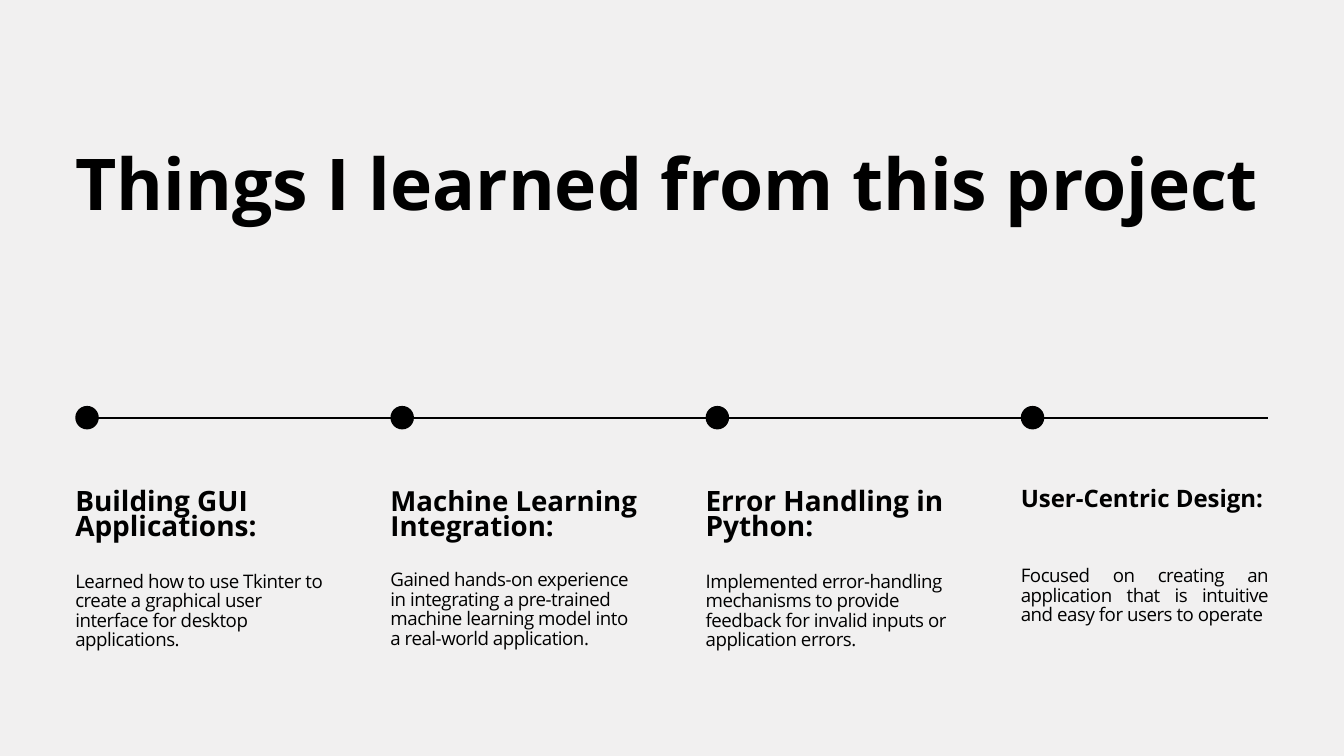
import dataclasses

import pptx
import pptx.dml.color
import pptx.enum.shapes
import pptx.enum.text
import pptx.util
from pptx.util import Inches

ALIGN = pptx.enum.text.PP_ALIGN


@dataclasses.dataclass(frozen=True)
class Theme:
    font: str = "Open Sans"
    paper: str = "F1F0F0"
    ink: str = "000000"
    title: float = 76.5
    body: float = 20
    title_leading: float = 68.8
    body_leading: float = 20.9
    heading_ratio: float = 0.9
    body_tracking: float = -0.5
    rule: float = 2


THEME = Theme()
LEFT, WIDTH = 1.12, 17.75
STEP, COLUMN_WIDTH = 4.69, 3.68
DOT = 0.35

LESSONS = [
    dict(heading="Building GUI Applications:", size=30, top=7.32, body_offset=1.2,
         body="Learned how to use Tkinter to create a graphical user interface "
              "for desktop applications."),
    dict(heading="Machine Learning Integration:", size=29.6, top=7.32, body_offset=1.18,
         body="Gained hands-on experience in integrating a pre-trained machine "
              "learning model into a real-world application."),
    dict(heading="Error Handling in Python:", size=30, top=7.32, body_offset=1.2,
         body="Implemented error-handling mechanisms to provide feedback for "
              "invalid inputs or application errors."),
    dict(heading="User-Centric Design:", size=25.7, top=7.3, body_offset=1.14,
         body="Focused on creating an application that is intuitive and easy "
              "for users to operate", align=ALIGN.JUSTIFY),
]


def rgb(value):
    return pptx.dml.color.RGBColor.from_string(value)


def write(sp, text, size, leading, bold=False, align=ALIGN.LEFT, tracking=0):
    tf = sp.text_frame
    tf.word_wrap = True
    tf.auto_size = pptx.enum.text.MSO_AUTO_SIZE.NONE
    tf.vertical_anchor = pptx.enum.text.MSO_ANCHOR.TOP
    tf.margin_left = tf.margin_top = tf.margin_right = tf.margin_bottom = 0
    p = tf.paragraphs[0]
    p.alignment = align
    p.line_spacing = pptx.util.Pt(leading)
    p.space_before = pptx.util.Pt(0)
    r = p.add_run()
    r.text = text
    r.font.name = THEME.font
    r.font.size = pptx.util.Pt(size)
    r.font.bold = bold
    r.font.color.rgb = rgb(THEME.ink)
    if tracking:
        r.font._element.set("spc", str(round(tracking * 100)))


def add_title(s, left, top, width, height, text):
    sp = s.shapes.title
    sp.left, sp.top = Inches(left), Inches(top)
    sp.width, sp.height = Inches(width), Inches(height)
    write(sp, text, THEME.title, THEME.title_leading, bold=True)


def add_timeline(s, left, top, width, count):
    middle = top + DOT / 2
    line = s.shapes.add_connector(
        pptx.enum.shapes.MSO_CONNECTOR.STRAIGHT,
        Inches(left + DOT / 2), Inches(middle), Inches(left + width), Inches(middle))
    line.line.color.rgb = rgb(THEME.ink)
    line.line.width = pptx.util.Pt(THEME.rule)
    line._element.spPr.append(pptx.oxml.parse_xml(
        '<a:effectLst xmlns:a="http://schemas.openxmlformats.org/drawingml/2006/main"/>'))
    for i in range(count):
        dot = s.shapes.add_shape(
            pptx.enum.shapes.MSO_SHAPE.OVAL,
            Inches(left + i * STEP), Inches(top), Inches(DOT), Inches(DOT))
        dot.shadow.inherit = False
        dot.fill.solid()
        dot.fill.fore_color.rgb = rgb(THEME.ink)
        dot.line.fill.background()


def add_lesson(s, left, top, width, heading, size, body_offset, body, align=ALIGN.LEFT):
    sp = s.shapes.add_textbox(Inches(left), Inches(top), Inches(width), Inches(0.8))
    write(sp, heading, size, size * THEME.heading_ratio, bold=True)
    sp = s.shapes.add_textbox(
        Inches(left), Inches(top + body_offset), Inches(width), Inches(1.18))
    write(sp, body, THEME.body, THEME.body_leading, align=align,
          tracking=THEME.body_tracking)


def main():
    prs = pptx.Presentation()
    prs.slide_width, prs.slide_height = Inches(20), Inches(11.25)
    s = prs.slides.add_slide(prs.slide_layouts[5])
    s.background.fill.solid()
    s.background.fill.fore_color.rgb = rgb(THEME.paper)
    add_timeline(s, LEFT, 6.04, WIDTH, len(LESSONS))
    add_title(s, LEFT, 2.39, WIDTH, 1.03, "Things I learned from this project")
    for i, lesson in enumerate(LESSONS):
        add_lesson(s, LEFT + i * STEP, width=COLUMN_WIDTH, **lesson)
    prs.save("out.pptx")


if __name__ == "__main__":
    main()
